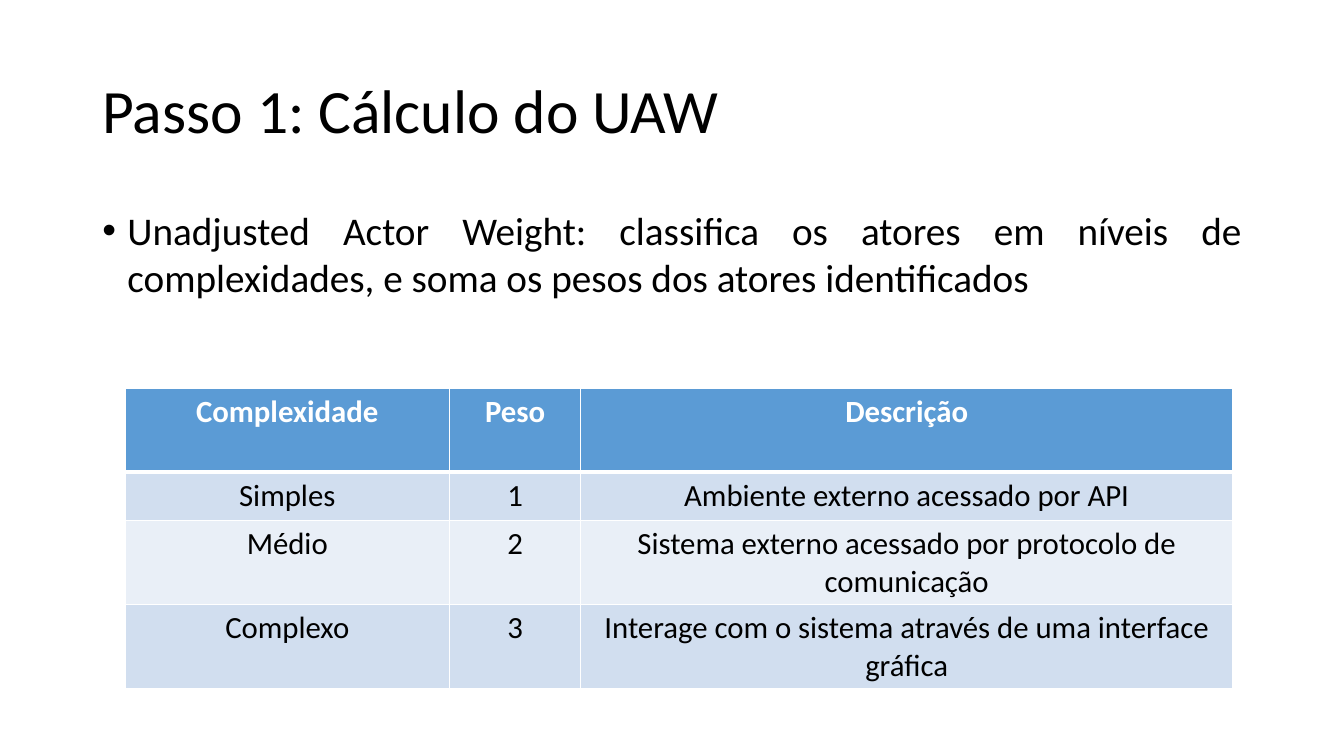
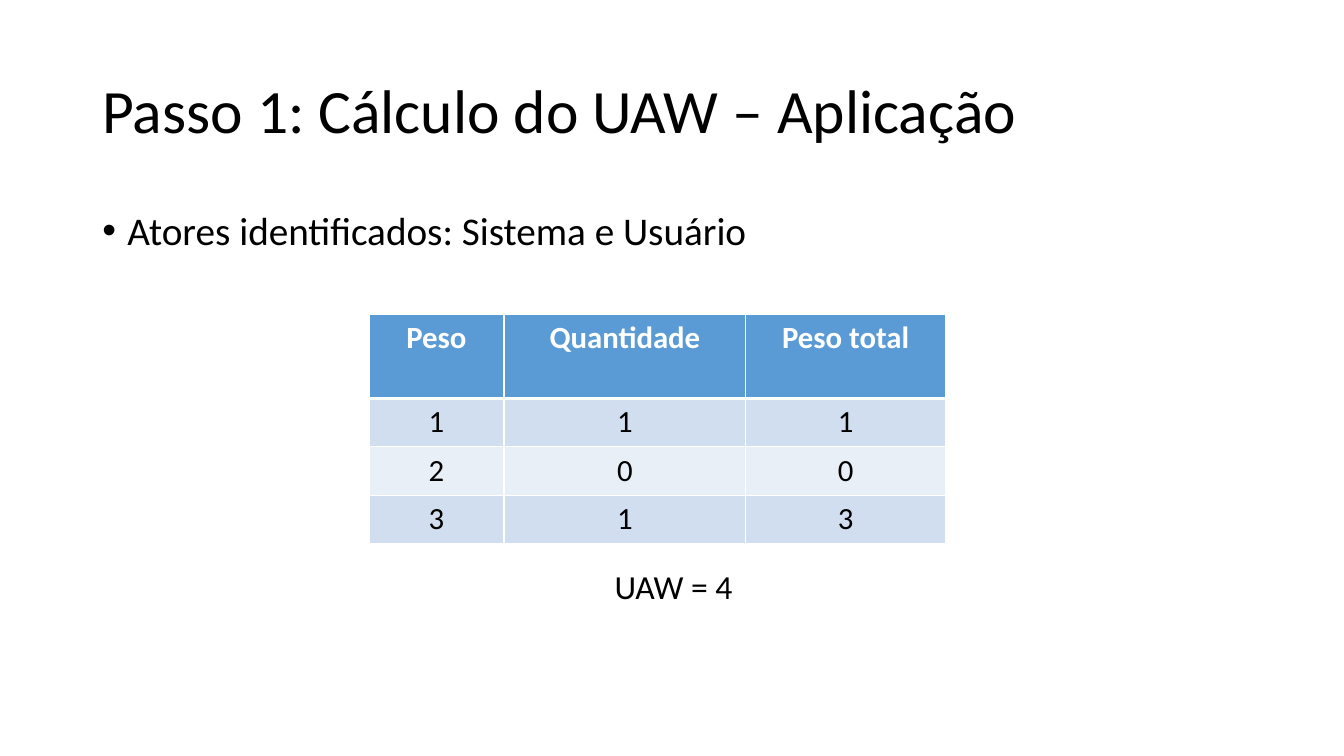
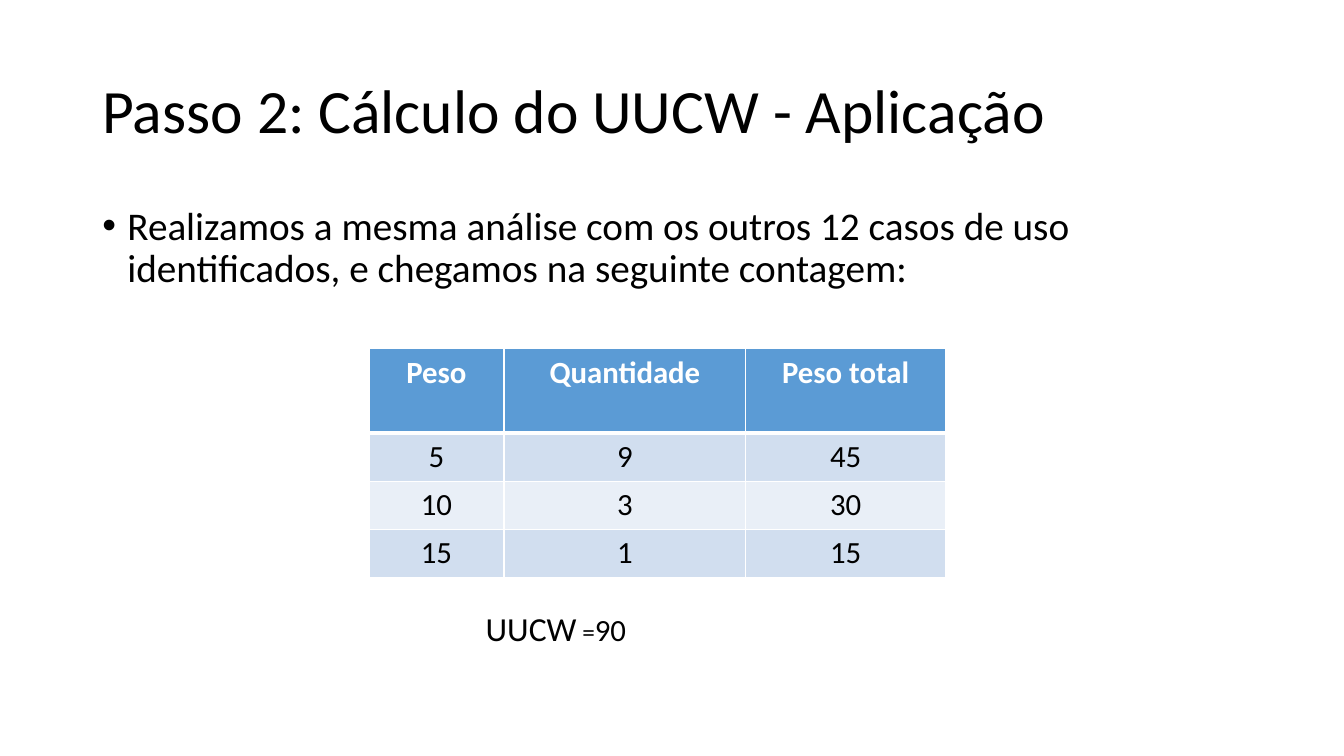
from lxml.etree import SubElement
from pptx import Presentation
from pptx.dml.color import RGBColor
from pptx.enum.text import MSO_ANCHOR, MSO_AUTO_SIZE, PP_ALIGN
from pptx.oxml.ns import qn
from pptx.util import Inches, Pt

FONT = "Calibri"
BLACK, WHITE = "000000", "FFFFFF"
HEADER, BANDS = "5B9BD5", ("D1DEEF", "E9EFF7")
TITLE_SIZE, BODY_SIZE, RESULT_SIZE, TABLE_SIZE = 44, 28, 24, 22
THIN, THICK = 0.96, 3

deck = Presentation()
deck.slide_width, deck.slide_height = Inches(13.333), Inches(7.5)

# The slide is a grid of 160 columns by 90 rows of square cells.
CELL = deck.slide_height / 90
MARGIN, CONTENT_WIDTH = 11, 138
HEADER_ROW, SINGLE_ROW, DOUBLE_ROW = 10, 5.76, 10

WEIGHT_TABLE = {"left": 43.92, "columns": (16.08, 28.8, 23.76), "heights": (HEADER_ROW,) + (SINGLE_ROW,) * 3}
WEIGHT_HEADER = ("Peso", "Quantidade", "Peso total")

PAGES = [
    {
        "title": "Passo 1: Cálculo do UAW",
        "body": "Unadjusted Actor Weight: classifica os atores em níveis de complexidades, "
                "e soma os pesos dos atores identificados",
        "align": PP_ALIGN.JUSTIFY, "spacing": 1.0,
        "left": 14.88, "top": 46.2, "columns": (38.64, 15.6, 77.64),
        "heights": (HEADER_ROW, SINGLE_ROW, DOUBLE_ROW, DOUBLE_ROW),
        "rows": [
            ("Complexidade", "Peso", "Descrição"),
            ("Simples", "1", "Ambiente externo acessado por API"),
            ("Médio", "2", "Sistema externo acessado por protocolo de comunicação"),
            ("Complexo", "3", "Interage com o sistema através de uma interface gráfica"),
        ],
    },
    {
        "title": "Passo 1: Cálculo do UAW – Aplicação",
        "body": "Atores identificados: Sistema e Usuário",
        "align": PP_ALIGN.JUSTIFY, "spacing": 1.0,
        **WEIGHT_TABLE, "top": 37.44,
        "rows": [WEIGHT_HEADER, ("1", "1", "1"), ("2", "0", "0"), ("3", "1", "3")],
        "result_at": (72, 66.84),
        "result": [("UAW = 4", RESULT_SIZE)],
    },
    {
        "title": "Passo 2: Cálculo do UUCW - Aplicação",
        "body": "Realizamos a mesma análise com os outros 12 casos de uso identificados, "
                "e chegamos na seguinte contagem:",
        "align": PP_ALIGN.LEFT, "spacing": 0.9,
        **WEIGHT_TABLE, "top": 41.52,
        "rows": [WEIGHT_HEADER, ("5", "9", "45"), ("10", "3", "30"), ("15", "1", "15")],
        "result_at": (56.64, 71.76),
        "result": [("UUCW", RESULT_SIZE), (" =", 18), ("90", TABLE_SIZE)],
    },
]


def grid(*cells):
    """Turn counts of grid cells into lengths."""
    return [round(count * CELL) for count in cells]


def add_span(para, text, size, color=BLACK, bold=False):
    span = para.add_run()
    span.text = text
    span.font.name, span.font.size, span.font.bold = FONT, Pt(size), bold
    span.font.color.rgb = RGBColor.from_string(color)


for content in PAGES:
    page = deck.slides.add_slide(deck.slide_layouts[5])

    title = page.shapes.title
    title.left, title.top, title.width, title.height = grid(MARGIN, 4.8, CONTENT_WIDTH, 17.4)
    title.text_frame.auto_size = MSO_AUTO_SIZE.NONE
    title.text_frame.vertical_anchor = MSO_ANCHOR.MIDDLE
    para = title.text_frame.paragraphs[0]
    para.alignment, para.line_spacing = PP_ALIGN.LEFT, 0.9
    add_span(para, content["title"], TITLE_SIZE)

    body = page.shapes.add_textbox(*grid(MARGIN, 24, CONTENT_WIDTH, 13.44))
    body.text_frame.word_wrap = True
    para = body.text_frame.paragraphs[0]
    para.alignment, para.line_spacing = content["align"], content["spacing"]
    add_span(para, content["body"], BODY_SIZE)
    bullet = para._p.get_or_add_pPr()
    bullet.set("marL", str(Inches(0.25)))
    bullet.set("indent", str(-Inches(0.25)))
    SubElement(bullet, qn("a:buFont"), typeface="Arial")
    SubElement(bullet, qn("a:buChar"), char="•")

    rows, columns, heights = content["rows"], content["columns"], content["heights"]
    frame = page.shapes.add_table(
        len(rows), len(columns),
        *grid(content["left"], content["top"], sum(columns), sum(heights)))
    table = frame.table
    for column, width in zip(table.columns, grid(*columns)):
        column.width = width
    for row, height in zip(table.rows, grid(*heights)):
        row.height = height

    for row_index, texts in enumerate(rows):
        is_header = row_index == 0
        fill = HEADER if is_header else BANDS[(row_index - 1) % 2]
        borders = {"L": THIN, "R": THIN,
                   "T": THICK if row_index == 1 else THIN,
                   "B": THICK if is_header else THIN}
        for column_index, text in enumerate(texts):
            cell = table.cell(row_index, column_index)
            cell.margin_left = cell.margin_right = Inches(0.12)
            cell.margin_top = cell.margin_bottom = Inches(0.05)
            for side, width in borders.items():
                line = SubElement(cell._tc.get_or_add_tcPr(), qn(f"a:ln{side}"), w=str(Pt(width)))
                SubElement(SubElement(line, qn("a:solidFill")), qn("a:srgbClr"), val=WHITE)
            cell.fill.solid()
            cell.fill.fore_color.rgb = RGBColor.from_string(fill)
            para = cell.text_frame.paragraphs[0]
            para.alignment = PP_ALIGN.CENTER
            add_span(para, text, TABLE_SIZE, WHITE if is_header else BLACK, is_header)

    if "result" in content:
        result = page.shapes.add_textbox(*grid(*content["result_at"], 24, 6))
        result.text_frame.word_wrap = True
        for text, size in content["result"]:
            add_span(result.text_frame.paragraphs[0], text, size)

deck.save("out.pptx")
